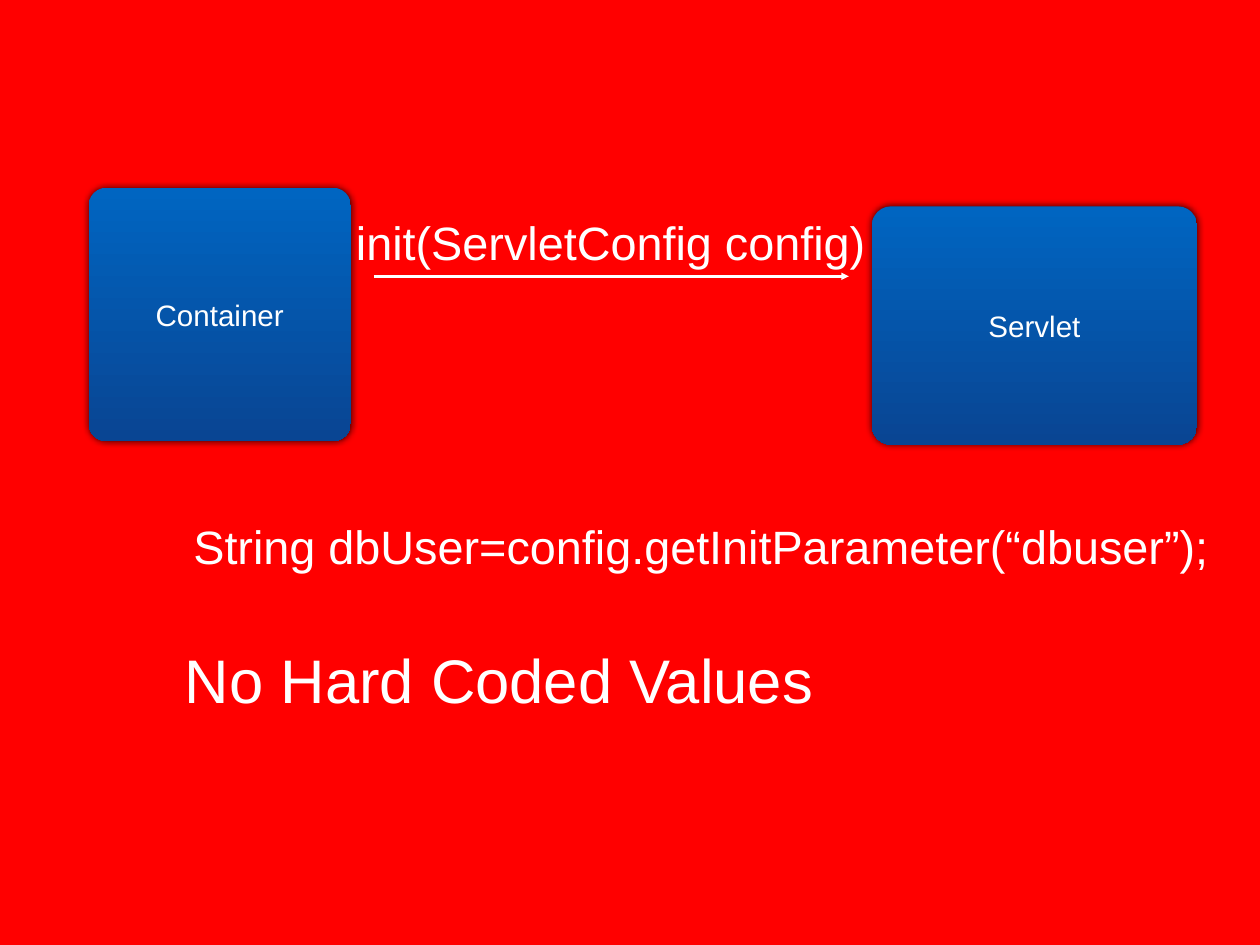
import dataclasses

import lxml.etree
import pptx
import pptx.dml.color
import pptx.enum.shapes
import pptx.enum.text
import pptx.oxml.ns
import pptx.util
from pptx.util import Inches


@dataclasses.dataclass(frozen=True)
class Theme:
    """Colours, font and type sizes of the slide."""
    background: str = "FF0000"
    text: str = "FFFFFF"
    box_top: str = "0065C1"
    box_bottom: str = "094593"
    shadow: str = "000000"
    font: str = "Arial"
    box_size: int = 24
    code_size: int = 38
    message_size: int = 50


THEME = Theme()


def rgb(value):
    """Return the colour for a hex string."""
    return pptx.dml.color.RGBColor.from_string(value)


def add_xml(parent, tag, **attributes):
    """Append a DrawingML element and return it."""
    return lxml.etree.SubElement(parent, pptx.oxml.ns.qn(tag), attributes)


def write_text(shape, text, size, wrap=True, color=THEME.text):
    """Write one centred paragraph into a shape."""
    tf = shape.text_frame
    tf.word_wrap = wrap
    if not wrap:
        tf.auto_size = pptx.enum.text.MSO_AUTO_SIZE.SHAPE_TO_FIT_TEXT
    tf.vertical_anchor = pptx.enum.text.MSO_ANCHOR.MIDDLE
    tf.margin_left = tf.margin_right = Inches(0.06)
    tf.margin_top = tf.margin_bottom = Inches(0.06)
    p = tf.paragraphs[0]
    p.alignment = pptx.enum.text.PP_ALIGN.CENTER
    r = p.add_run()
    r.text = text
    r.font.name = THEME.font
    r.font.size = pptx.util.Pt(size)
    r.font.color.rgb = rgb(color)


def add_box(s, text, left, top, width, height, corner):
    """Add a rounded box with a vertical gradient and a soft shadow."""
    sp = s.shapes.add_shape(pptx.enum.shapes.MSO_SHAPE.ROUNDED_RECTANGLE,
                            Inches(left), Inches(top), Inches(width), Inches(height))
    sp.adjustments[0] = corner
    sp.fill.gradient()
    sp.fill.gradient_angle = 270
    stops = zip(sp.fill.gradient_stops, (THEME.box_top, THEME.box_bottom))
    for position, (stop, color) in enumerate(stops):
        stop.position = position
        stop.color.rgb = rgb(color)
    sp.line.fill.background()
    sp.shadow.inherit = False
    effects = sp._element.spPr.find(pptx.oxml.ns.qn("a:effectLst"))
    shadow = add_xml(effects, "a:outerShdw", blurRad=str(pptx.util.Pt(6)),
                     dist="0", dir="18900000", rotWithShape="0")
    color = add_xml(shadow, "a:srgbClr", val=THEME.shadow)
    add_xml(color, "a:alpha", val="80000")
    write_text(sp, text, THEME.box_size)


def add_arrow(s, left, right, y):
    """Add a horizontal arrow pointing right."""
    line = s.shapes.add_connector(pptx.enum.shapes.MSO_CONNECTOR.STRAIGHT,
                                  Inches(left), Inches(y), Inches(right), Inches(y))
    line.line.color.rgb = rgb(THEME.text)
    line.line.width = pptx.util.Pt(2)
    add_xml(line.line._get_or_add_ln(), "a:tailEnd", type="triangle")
    add_xml(line._element.spPr, "a:effectLst")


def add_label(s, text, left, top, width, height, size):
    """Add a single line of text that does not wrap."""
    sp = s.shapes.add_textbox(Inches(left), Inches(top), Inches(width), Inches(height))
    write_text(sp, text, size, wrap=False)


def main():
    """Build the slide and save it."""
    prs = pptx.Presentation()
    prs.slide_width, prs.slide_height = Inches(14.22), Inches(10.67)
    s = prs.slides.add_slide(prs.slide_layouts.get_by_name("Blank"))
    s.background.fill.solid()
    s.background.fill.fore_color.rgb = rgb(THEME.background)

    add_box(s, "Container", 1, 2.12, 2.96, 2.86, corner=0.07)
    add_box(s, "Servlet", 9.84, 2.33, 3.67, 2.69, corner=0.08)
    add_arrow(s, 4.22, 9.58, 3.12)
    add_label(s, "init(ServletConfig config)", 3.93, 2.36, 5.93, 0.75, THEME.code_size)
    add_label(s, "String dbUser=config.getInitParameter(“dbuser”);",
              1.99, 5.79, 11.85, 0.75, THEME.code_size)
    add_label(s, "No Hard Coded Values", 1.99, 7.19, 7.29, 0.94, THEME.message_size)

    prs.save("out.pptx")


if __name__ == "__main__":
    main()
